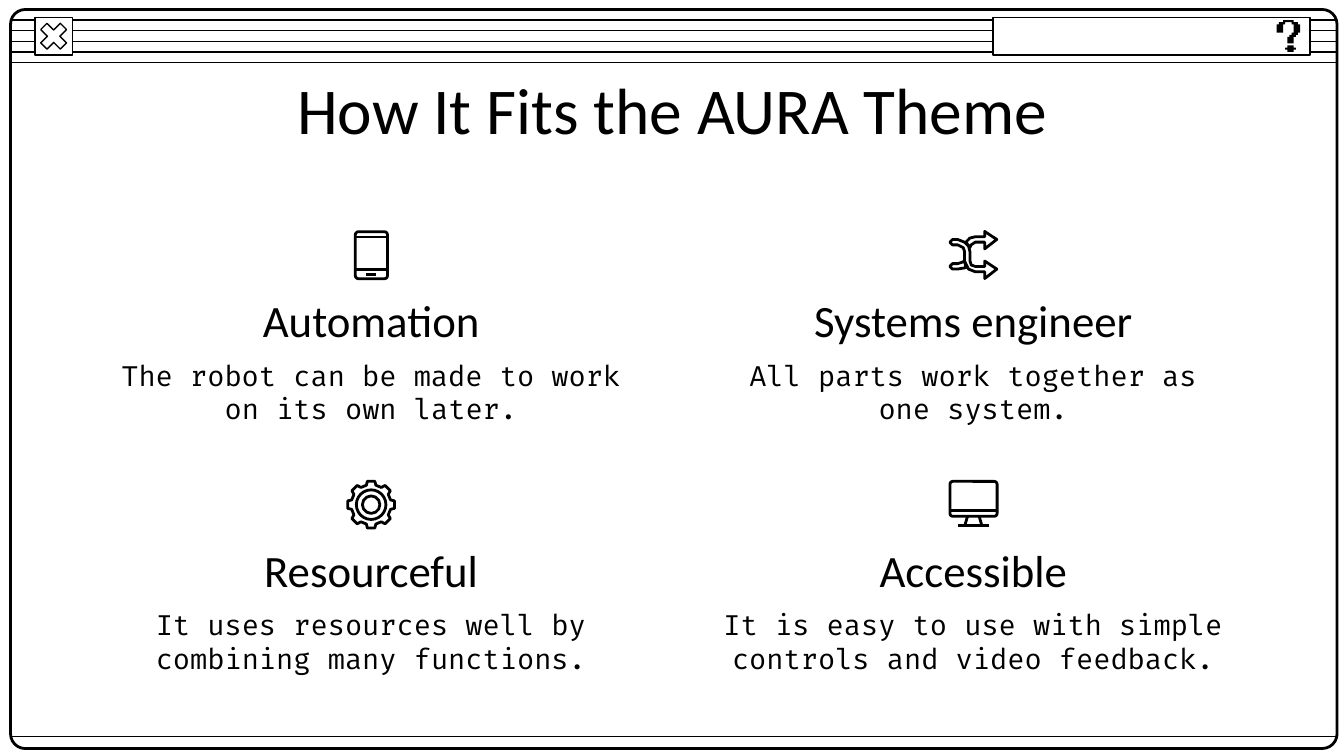
"""Build the AURA theme slide: a window frame with four captioned icons."""
import math

import pptx
import pptx.dml.color
import pptx.enum.shapes
import pptx.enum.text
import pptx.oxml.ns
import pptx.util
from pptx.util import Cm

COLORS = {"ink": "000000", "paper": "FFFFFF"}
SHAPES = pptx.enum.shapes.MSO_SHAPE
LEFT, RIGHT = 0.2, 25.27
ICON_SIZE = 0.94
CARD_WIDTH = 10.01

QUESTION_HOOK = [
    (3, 0), (3, 1), (1, 1), (1, 2), (0, 2), (0, 6), (3, 6), (3, 2), (4, 2), (4, 1), (7, 1),
    (7, 2), (8, 2), (8, 6), (7, 6), (7, 7), (6, 7), (6, 8), (5, 8), (5, 11), (8, 11), (8, 8),
    (9, 8), (9, 7), (10, 7), (10, 6), (11, 6), (11, 2), (10, 2), (10, 1), (8, 1), (8, 0),
]
QUESTION_DOT = [
    (5, 12), (5, 13), (4, 13), (4, 14), (5, 14), (5, 15),
    (8, 15), (8, 14), (9, 14), (9, 13), (8, 13), (8, 12),
]
SHUFFLE_OUTLINES = [
    [(27, 1), (36, 7), (27, 14), (27, 9), (20, 9), (17, 11), (16, 13),
     (13, 9), (16, 6), (20, 5), (27, 5)],
    [(3, 7), (7, 7), (12, 9), (15, 12), (16, 16), (16, 23), (17, 26), (20, 27), (27, 27),
     (27, 23), (36, 29), (27, 36), (27, 31), (20, 31), (15, 29), (12, 23), (12, 16),
     (11, 13), (7, 11), (3, 11), (1, 9)],
    [(12, 23), (10, 24), (7, 25), (3, 25), (1, 27), (3, 29), (7, 29), (13, 28)],
]


def color(name):
    return pptx.dml.color.RGBColor.from_string(COLORS[name])


def write(box, text, size, font, ink="ink"):
    frame = box.text_frame
    frame.word_wrap = True
    frame.auto_size = pptx.enum.text.MSO_AUTO_SIZE.NONE
    frame.vertical_anchor = pptx.enum.text.MSO_ANCHOR.MIDDLE
    for side in ("left", "top", "right", "bottom"):
        setattr(frame, "margin_" + side, Cm(0.25))
    para = frame.paragraphs[0]
    para.alignment = pptx.enum.text.PP_ALIGN.CENTER
    span = para.add_run()
    span.text = text
    span.font.size = pptx.util.Pt(size)
    span.font.name = font
    span.font.color.rgb = color(ink)


class Painter:
    heading_font = "Calibri"
    body_font = "Fira Code"
    thin, thick = 0.75, 1.5

    def __init__(self, page):
        self.page = page

    def finish(self, shape, fill, width):
        shape.shadow.inherit = False
        if fill:
            shape.fill.solid()
            shape.fill.fore_color.rgb = color(fill)
        else:
            shape.fill.background()
        if width:
            shape.line.color.rgb = color("ink")
            shape.line.width = pptx.util.Pt(width)
        else:
            shape.line.fill.background()

    def title(self, text, left, top, width, height):
        box = self.page.shapes.title
        box.left, box.top, box.width, box.height = map(Cm, (left, top, width, height))
        write(box, text, size=35, font=self.heading_font)

    def text(self, text, left, top, width, height, **style):
        box = self.page.shapes.add_textbox(*map(Cm, (left, top, width, height)))
        write(box, text, **style)

    def shape(self, kind, left, top, width, height, fill=None, weight=thin, adjust=None):
        shape = self.page.shapes.add_shape(kind, *map(Cm, (left, top, width, height)))
        if adjust is not None:
            shape.adjustments[0] = adjust
        self.finish(shape, fill, weight)

    def line(self, x1, y1, x2, y2, weight=thin):
        line = self.page.shapes.add_connector(
            pptx.enum.shapes.MSO_CONNECTOR.STRAIGHT, *map(Cm, (x1, y1, x2, y2)))
        line.line.color.rgb = color("ink")
        line.line.width = pptx.util.Pt(weight)
        properties = line._element.spPr
        properties.append(properties.makeelement(pptx.oxml.ns.qn("a:effectLst"), {}))

    def outline(self, points, left, top, unit, fill=None, weight=None):
        builder = self.page.shapes.build_freeform(*points[0], scale=unit)
        builder.add_line_segments(points[1:], close=True)
        self.finish(builder.convert_to_shape(Cm(left), Cm(top)), fill, weight)

    def ring(self, left, top, diameter):
        offset = (ICON_SIZE - diameter) / 2
        self.shape(SHAPES.OVAL, left + offset, top + offset, diameter, diameter,
                   weight=self.thick)

    def icon_lines(self, left, top, ends):
        for x1, y1, x2, y2 in ends:
            self.line(left + x1, top + y1, left + x2, top + y2, self.thick)

    def phone(self, left, top):
        self.shape(SHAPES.ROUNDED_RECTANGLE, left + 0.17, top + 0.03, 0.61, 0.89,
                   weight=self.thick, adjust=0.1)
        self.icon_lines(left, top, [(0.17, 0.13, 0.78, 0.13), (0.17, 0.75, 0.78, 0.75),
                                    (0.38, 0.84, 0.56, 0.84)])

    def monitor(self, left, top):
        self.shape(SHAPES.ROUNDED_RECTANGLE, left + 0.03, top + 0.03, 0.89, 0.66,
                   weight=self.thick, adjust=0.08)
        self.icon_lines(left, top, [(0.03, 0.58, 0.92, 0.58), (0.36, 0.69, 0.31, 0.86),
                                    (0.58, 0.69, 0.63, 0.86), (0.18, 0.86, 0.76, 0.86)])

    def shuffle(self, left, top):
        for points in SHUFFLE_OUTLINES:
            self.outline(points, left, top, Cm(ICON_SIZE) / 37, weight=self.thick)

    def gear(self, left, top):
        points = []
        for tooth in range(0, 360, 45):
            for turn, radius in ((-14, 80), (-9, 95), (9, 95), (14, 80)):
                angle = math.radians(tooth + turn)
                points.append((round(100 + radius * math.cos(angle)),
                               round(100 + radius * math.sin(angle))))
        self.outline(points, left, top, Cm(ICON_SIZE) / 200, weight=self.thick)
        for diameter in (0.56, 0.33):
            self.ring(left, top, diameter)

    def window(self):
        for row in range(5):
            y = 0.38 + 0.2 * row
            self.line(LEFT, y, RIGHT, y)
        self.shape(SHAPES.ROUNDED_RECTANGLE, LEFT, 0.18, RIGHT - LEFT, 13.97,
                   weight=self.thick, adjust=0.02)
        self.shape(SHAPES.RECTANGLE, 0.66, 0.33, 0.71, 0.71, fill="paper")
        self.shape(SHAPES.MATH_MULTIPLY, 0.66, 0.33, 0.71, 0.71, fill="paper", adjust=0.235)
        self.line(LEFT, 13.92, RIGHT, 13.92)
        self.shape(SHAPES.RECTANGLE, 18.77, 0.33, 5.99, 0.71, fill="paper")
        for points in (QUESTION_HOOK, QUESTION_DOT):
            self.outline(points, 24.13, 0.38, Cm(0.04), fill="ink")

    def card(self, heading, body, icon, left, top):
        icon(left + (CARD_WIDTH - ICON_SIZE) / 2, top - 0.96)
        self.text(heading, left, top, CARD_WIDTH, 1.47, size=24, font=self.heading_font)
        self.text(body, left, top + 1.42, CARD_WIDTH, 1.35, size=15, font=self.body_font)


def main():
    deck = pptx.Presentation()
    deck.slide_width, deck.slide_height = Cm(25.4), Cm(14.29)
    painter = Painter(deck.slides.add_slide(deck.slide_layouts[5]))
    painter.window()
    painter.title("How It Fits the AURA Theme", 2.01, 1.24, 21.41, 1.6)
    cards = [
        ("Automation", "The robot can be made to work on its own later.", painter.phone),
        ("Systems engineer", "All parts work together as one system.", painter.shuffle),
        ("Resourceful", "It uses resources well by combining many functions.", painter.gear),
        ("Accessible", "It is easy to use with simple controls and video feedback.",
         painter.monitor),
    ]
    for index, (heading, body, icon) in enumerate(cards):
        row, column = divmod(index, 2)
        painter.card(heading, body, icon, 2.01 + 11.38 * column, 5.31 + 4.72 * row)
    deck.save("out.pptx")


if __name__ == "__main__":
    main()
